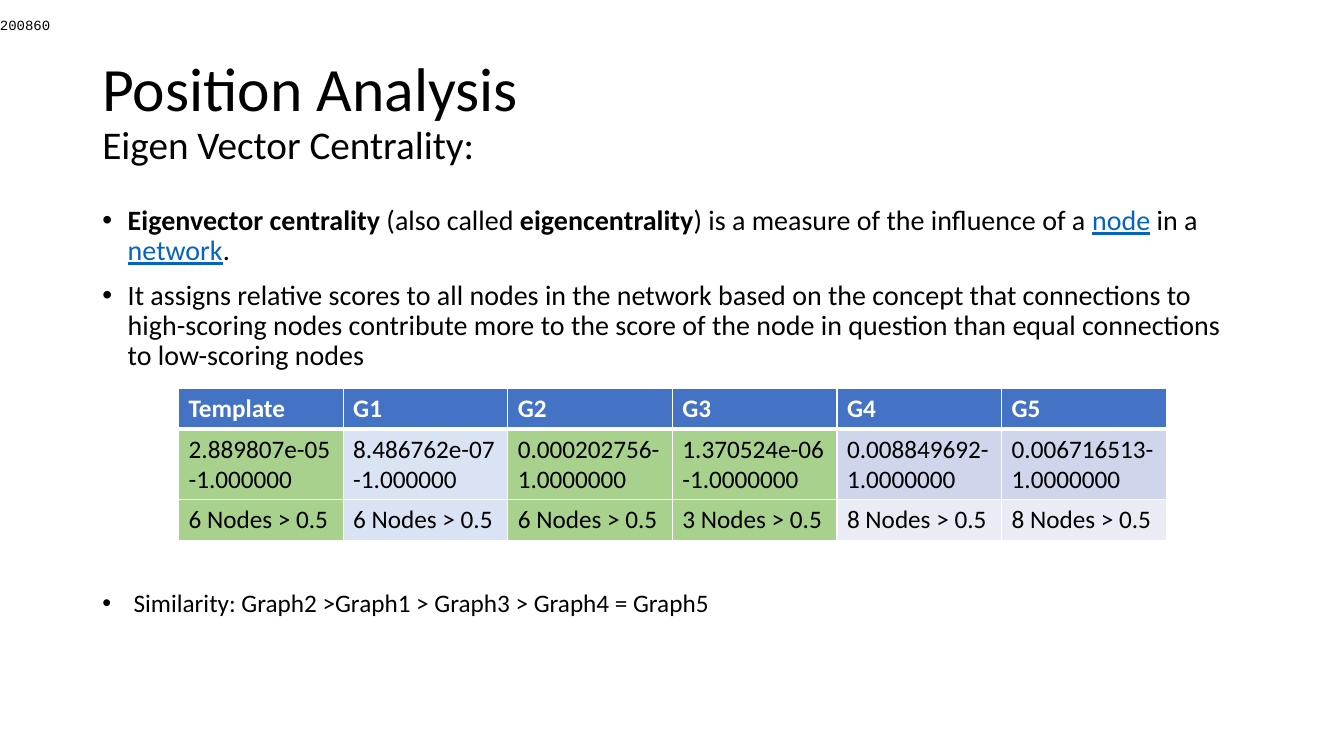
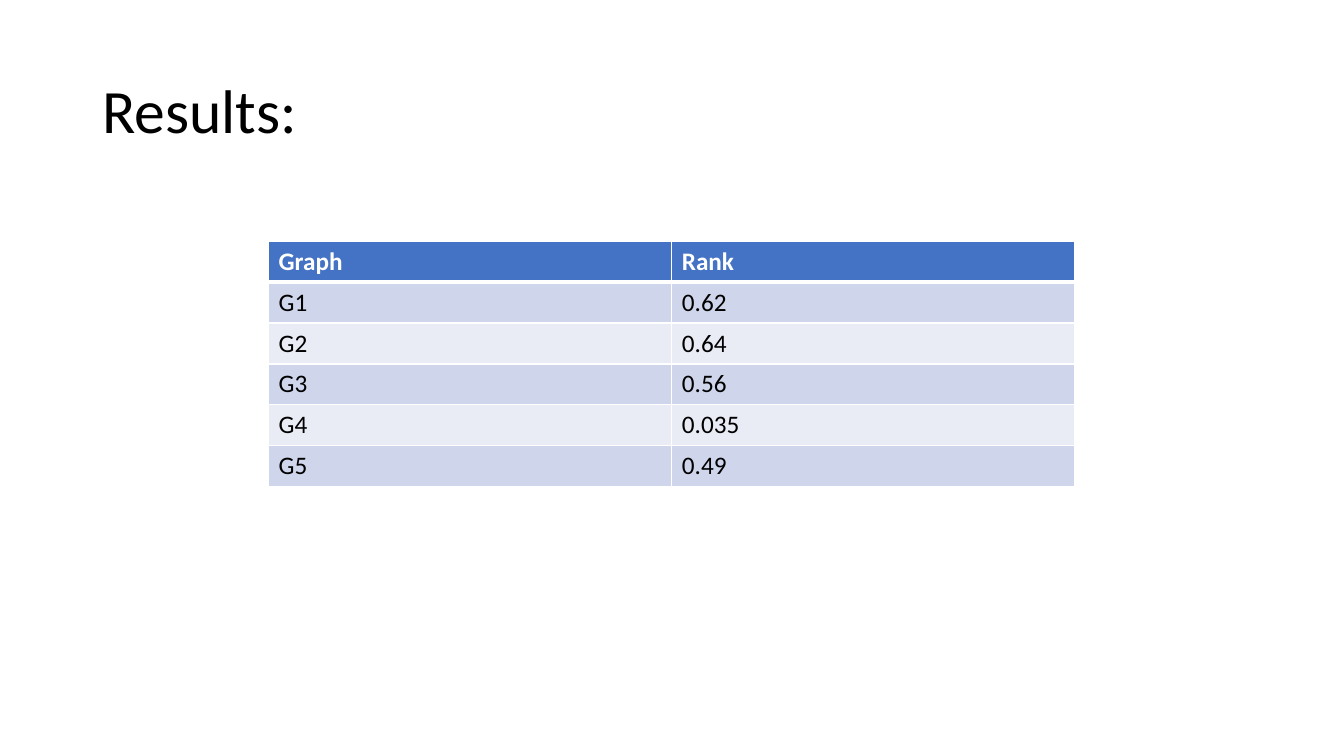
from dataclasses import dataclass
from pptx import Presentation
from pptx.dml.color import RGBColor as RGB
from pptx.enum.shapes import MSO_SHAPE as SHAPE
from pptx.enum.text import MSO_ANCHOR as ANCHOR, PP_ALIGN as ALIGN
from pptx.oxml.ns import qn
from pptx.util import Cm, Pt
from lxml.etree import SubElement


@dataclass(frozen=True)
class Theme:
    """Colours, fonts, type sizes and shared lengths in centimetres."""
    black: str = "000000"
    white: str = "FFFFFF"
    link: str = "0563C1"
    header: str = "4472C4"
    bands: tuple = ("CFD5EA", "E9EBF5")
    green: str = "A9D18E"
    pale: str = "DAE3F3"
    font: str = "Calibri"
    mono: str = "Courier New"
    title: int = 44
    subtitle: int = 28
    body: int = 20
    table: int = 18
    stamp: int = 10
    left: float = 2.33
    width: float = 29.21
    row: float = 1.03


T = Theme()


def add_run(p, text, size, color=T.black, bold=False, underline=False, font=T.font):
    """Add one formatted run to a paragraph."""
    r = p.add_run()
    r.text = text
    f = r.font
    f.name, f.size, f.bold, f.underline = font, Pt(size), bold, underline
    f.color.rgb = RGB.from_string(color)


def add_box(s, left, top, width, height, anchor=ANCHOR.TOP):
    """Add a wrapping text box and return its text frame."""
    tf = s.shapes.add_textbox(Cm(left), Cm(top), Cm(width), Cm(height)).text_frame
    tf.word_wrap = True
    tf.vertical_anchor = anchor
    return tf


def set_bullet(p, indent):
    """Give a paragraph a round bullet with a hanging indent."""
    pPr = p._p.get_or_add_pPr()
    pPr.set("marL", str(Cm(indent)))
    pPr.set("indent", str(-Cm(indent)))
    SubElement(pPr, qn("a:buFont")).set("typeface", "Arial")
    SubElement(pPr, qn("a:buChar")).set("char", "•")


def add_title(s, title, subtitle=None):
    """Add the slide title with an optional smaller second line."""
    tf = add_box(s, T.left, 1.01, T.width, 3.68, ANCHOR.MIDDLE)
    p = tf.paragraphs[0]
    p.line_spacing = 0.9
    add_run(p, title, T.title)
    if subtitle:
        p.add_line_break()
        add_run(p, subtitle, T.subtitle)


def add_bullets(s, top, width, height, items, size, indent, spacing=None):
    """Add bulleted paragraphs, each a list of (text, format) runs."""
    tf = add_box(s, T.left, top, width, height)
    for i, runs in enumerate(items):
        p = tf.add_paragraph() if i else tf.paragraphs[0]
        set_bullet(p, indent)
        p.line_spacing = spacing
        if i:
            p.space_before = Pt(10)
        for text, style in runs:
            add_run(p, text, size, **style)


def add_stamp(s, text):
    """Add the white strip with a number along the top edge."""
    sp = s.shapes.add_shape(SHAPE.RECTANGLE, 0, 0, Cm(33.87), Cm(1.27))
    sp.shadow.inherit = False
    sp.fill.solid()
    sp.fill.fore_color.rgb = RGB.from_string(T.white)
    sp.line.fill.background()
    tf = sp.text_frame
    tf.margin_left = tf.margin_right = tf.margin_top = tf.margin_bottom = 0
    tf.vertical_anchor = ANCHOR.MIDDLE
    p = tf.paragraphs[0]
    p.alignment = ALIGN.LEFT
    add_run(p, text, T.stamp, font=T.mono)


def set_borders(cell, top, bottom):
    """Draw white cell borders with the given top and bottom widths."""
    tcPr = cell._tc.get_or_add_tcPr()
    for side, width in (("L", 1), ("R", 1), ("T", top), ("B", bottom)):
        ln = SubElement(tcPr, qn(f"a:ln{side}"), w=str(Pt(width)))
        fill = SubElement(ln, qn("a:solidFill"))
        SubElement(fill, qn("a:srgbClr")).set("val", T.white)


def add_grid(s, left, top, width, rows, column_fills=None, heights=None):
    """Add a banded table with a header row and optional column fills."""
    fills = column_fills or {}
    heights = heights or [T.row] * len(rows)
    n = len(rows[0])
    table = s.shapes.add_table(len(rows), n, Cm(left), Cm(top),
                               Cm(width), Cm(sum(heights))).table
    table.horz_banding = False
    for col in table.columns:
        col.width = Cm(width / n)
    for i, row in enumerate(rows):
        table.rows[i].height = Cm(heights[i])
        head = i == 0
        for j, text in enumerate(row):
            cell = table.cell(i, j)
            set_borders(cell, 3 if i == 1 else 1, 3 if head else 1)
            color = T.header if head else fills.get(j, T.bands[(i - 1) % 2])
            cell.fill.solid()
            cell.fill.fore_color.rgb = RGB.from_string(color)
            add_run(cell.text_frame.paragraphs[0], text, T.table,
                    T.white if head else T.black, bold=head)


def build_centrality(s):
    """Build the eigenvector centrality slide."""
    bold, link = {"bold": True}, {"color": T.link, "underline": True}
    add_title(s, "Position Analysis", "Eigen Vector Centrality:")
    add_bullets(s, 5.08, T.width, 12.09, [
        [("Eigenvector centrality", bold), (" (also called ", {}),
         ("eigencentrality", bold),
         (") is a measure of the influence of a ", {}), ("node", link),
         (" in a ", {}), ("network", link), (".", {})],
        [("It assigns relative scores to all nodes in the network based on the "
          "concept that connections to high-scoring nodes contribute more to the "
          "score of the node in question than equal connections to low-scoring "
          "nodes", {})],
    ], T.body, 0.64, 0.9)
    add_stamp(s, "200860")
    add_grid(s, 4.5, 9.78, 24.89, [
        ("Template", "G1", "G2", "G3", "G4", "G5"),
        ("2.889807e-05-1.000000", "8.486762e-07-1.000000",
         "0.000202756-1.0000000", "1.370524e-06-1.0000000",
         "0.008849692-1.0000000", "0.006716513-1.0000000"),
        [f"{count} Nodes > 0.5" for count in (6, 6, 6, 3, 8, 8)],
    ], {0: T.green, 1: T.pale, 2: T.green, 3: T.green}, [T.row, 1.78, T.row])
    add_bullets(s, 14.68, 17.12, 1.02, [
        [("Similarity: Graph2 >Graph1 > Graph3 > Graph4 = Graph5", {})],
    ], T.table, 0.79)


def build_results(s):
    """Build the ranking slide."""
    add_title(s, "Results:")
    add_grid(s, 6.77, 6.08, 20.32, [
        ("Graph", "Rank"), ("G1", "0.62"), ("G2", "0.64"),
        ("G3", "0.56"), ("G4", "0.035"), ("G5", "0.49"),
    ])


def main():
    """Build and save the presentation."""
    prs = Presentation()
    prs.slide_width, prs.slide_height = Cm(33.87), Cm(19.05)
    for build in (build_centrality, build_results):
        build(prs.slides.add_slide(prs.slide_layouts[6]))
    prs.save("out.pptx")


if __name__ == "__main__":
    main()
